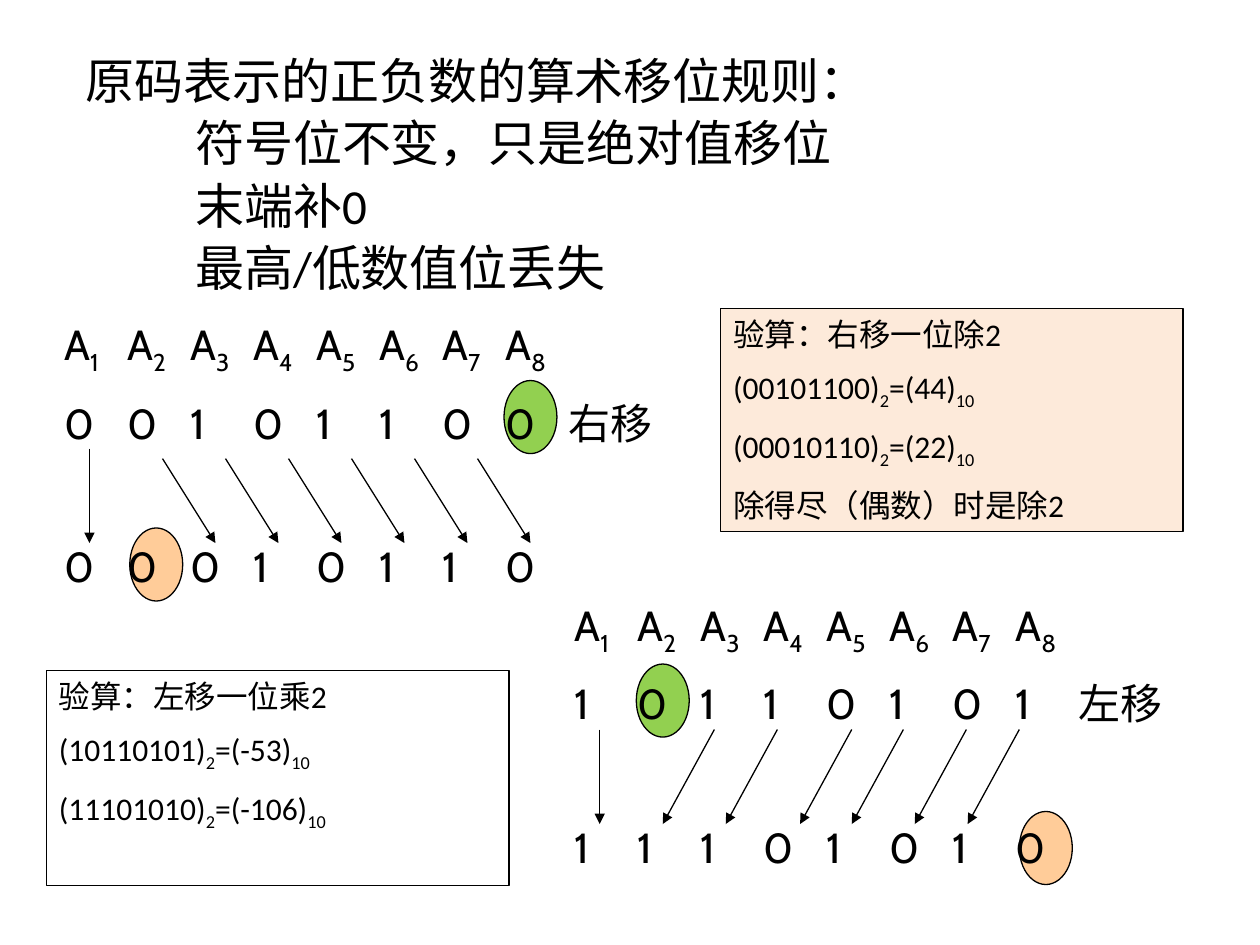
from itertools import accumulate

from lxml.etree import SubElement
from pptx import Presentation
from pptx.dml.color import RGBColor
from pptx.enum.shapes import MSO_CONNECTOR as Link, MSO_SHAPE as Shape
from pptx.enum.text import MSO_ANCHOR as Anchor, MSO_AUTO_SIZE as Fit, PP_ALIGN as Align
from pptx.oxml.ns import qn
from pptx.util import Inches, Pt

INK, GREEN, ORANGE, CREAM = "000000", "92D050", "FFCC99", "FDEADA"
DIGIT_STEP = {"0": 0.46, "1": 0.35}
REGISTER = "\t".join(f"A|{n}|" for n in range(1, 9))
REGISTER_STOPS = [0.36 + 0.4 * n for n in range(7)]


def color(value):
    return RGBColor.from_string(value)


def write(para, text, font="Calibri", size=18, align=Align.LEFT,
          before=0, line=None, indent=0, stops=()):
    """Fill a paragraph; every second piece between bars is a subscript."""
    para.alignment = align
    para.space_before = Pt(before)
    if line:
        para.line_spacing = line
    props = para._p.get_or_add_pPr()
    props.set("marL", str(Inches(indent)))
    props.set("indent", "0")
    if stops:
        tabs = SubElement(props, qn("a:tabLst"))
        for stop in stops:
            SubElement(tabs, qn("a:tab"), pos=str(Inches(stop)), algn="l")
    for number, piece in enumerate(text.split("|")):
        if not piece:
            continue
        span = para.add_run()
        span.text = piece
        span.font.name, span.font.size = font, Pt(size)
        span.font.color.rgb = color(INK)
        if number % 2:
            span.font._element.set("baseline", "-25000")


class Slide:
    def __init__(self, deck):
        self.page = deck.slides.add_slide(deck.slide_layouts[5])
        self.line_width = Pt(0.75)

    def fill_frame(self, frame, lines):
        """Write (text, format) pairs as paragraphs."""
        frame.word_wrap = True
        frame.auto_size = Fit.NONE
        frame.vertical_anchor = Anchor.TOP
        for number, (text, style) in enumerate(lines):
            para = frame.add_paragraph() if number else frame.paragraphs[0]
            write(para, text, **style)

    def title(self, place, lines):
        box = self.page.shapes.title
        box.left, box.top, box.width, box.height = map(Inches, place)
        self.fill_frame(box.text_frame, lines)

    def shape(self, kind, place, fill=None):
        shape = self.page.shapes.add_shape(kind, *map(Inches, place))
        shape.shadow.inherit = False
        if fill:
            shape.fill.solid()
            shape.fill.fore_color.rgb = color(fill)
        else:
            shape.fill.background()
        shape.line.color.rgb = color(INK)
        shape.line.width = self.line_width
        return shape

    def marker(self, left, top, fill):
        self.shape(Shape.OVAL, (left, top, 0.42, 0.58), fill)

    def card(self, place, texts, fill=None):
        box = self.shape(Shape.RECTANGLE, place, fill)
        self.fill_frame(box.text_frame, [
            (text, {"before": 9 if number else 0}) for number, text in enumerate(texts)])

    def register(self, place, bits, label, shifted):
        """Bit names, the bits with the shift direction, and the result."""
        box = self.page.shapes.add_textbox(*map(Inches, place))
        box.text_frame.margin_left = Inches(0.47)
        style = {"font": "Cabin", "size": 24}
        lines = [(REGISTER, {**style, "stops": REGISTER_STOPS})]
        for row, tail, before in ((bits, [label], 12), (shifted, [], 53)):
            stops = list(accumulate(DIGIT_STEP[bit] for bit in row))
            lines.append(("\t".join([*row, *tail]),
                          {**style, "before": before, "stops": stops}))
        self.fill_frame(box.text_frame, lines)

    def arrow(self, x, top, bottom, shift=0):
        arrow = self.page.shapes.add_connector(
            Link.STRAIGHT, *map(Inches, (x, top, x + shift, bottom)))
        arrow.line.color.rgb = color(INK)
        arrow.line.width = self.line_width
        SubElement(arrow.line._get_or_add_ln(), qn("a:tailEnd"), type="triangle")
        SubElement(arrow._element.spPr, qn("a:effectLst"))


def main():
    deck = Presentation()
    deck.slide_width, deck.slide_height = Inches(10), Inches(7.5)
    slide = Slide(deck)

    # Lost bits are green, filled-in bits are orange
    slide.marker(8.09, 6.44, ORANGE)
    slide.marker(5.05, 5.27, GREEN)
    slide.marker(1.03, 4.19, ORANGE)
    slide.marker(4, 3.02, GREEN)

    # Rules
    rule = {"size": 28, "align": Align.JUSTIFY, "before": 5.6, "line": 0.9, "indent": 0.87}
    slide.title((0.58, 0.35, 8.35, 2.13), [
        ("原码表示的正负数的算术移位规则：", {"size": 28}),
        ("符号位不变，只是绝对值移位", rule),
        ("末端补0", rule),
        ("最高/低数值位丢失", rule)])

    # Right shift
    slide.register((0.04, 2.48, 5.59, 2.32), "00101100", "右移", "00010110")
    slide.arrow(0.71, 3.56, 4.31)
    for step in range(6):
        slide.arrow(1.29 + 0.5 * step, 3.64, 4.31, shift=0.42)

    # Left shift
    slide.register((4.09, 4.71, 5.56, 2.32), "10110101", "左移", "11101010")
    slide.arrow(4.76, 5.79, 6.54)
    for x in (5.67, 6.17, 6.76, 7.17, 7.67, 8.09):
        slide.arrow(x, 5.79, 6.54, shift=-0.41)

    # Checks
    slide.card((0.37, 5.32, 3.67, 1.71), [
        "验算：左移一位乘2",
        "(10110101)|2|=(-53)|10",
        "(11101010)|2|=(-106)|10"])
    slide.card((5.72, 2.45, 3.67, 1.77), [
        "验算：右移一位除2",
        "(00101100)|2|=(44)|10",
        "(00010110)|2|=(22)|10",
        "除得尽（偶数）时是除2"], fill=CREAM)

    deck.save("out.pptx")


if __name__ == "__main__":
    main()
